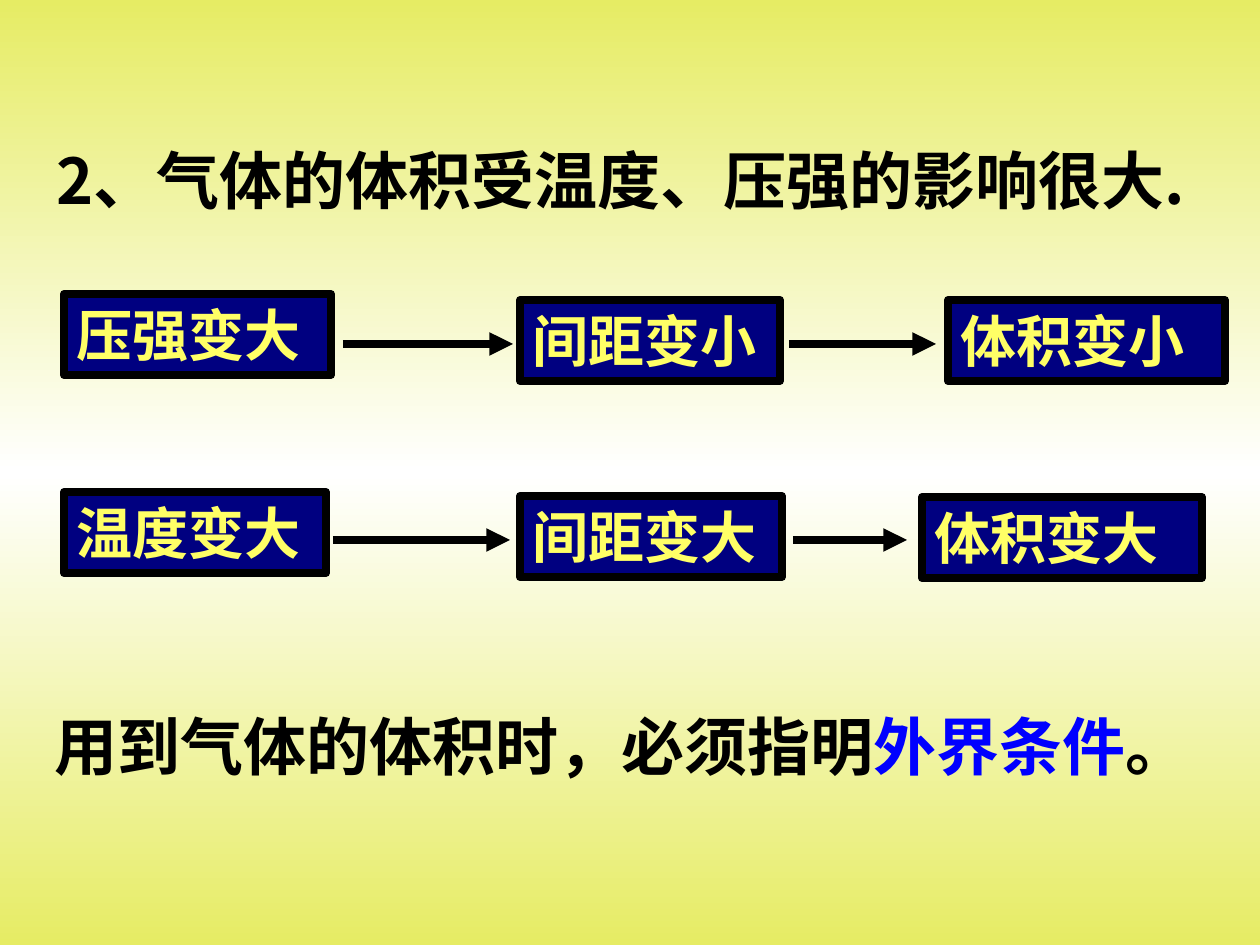
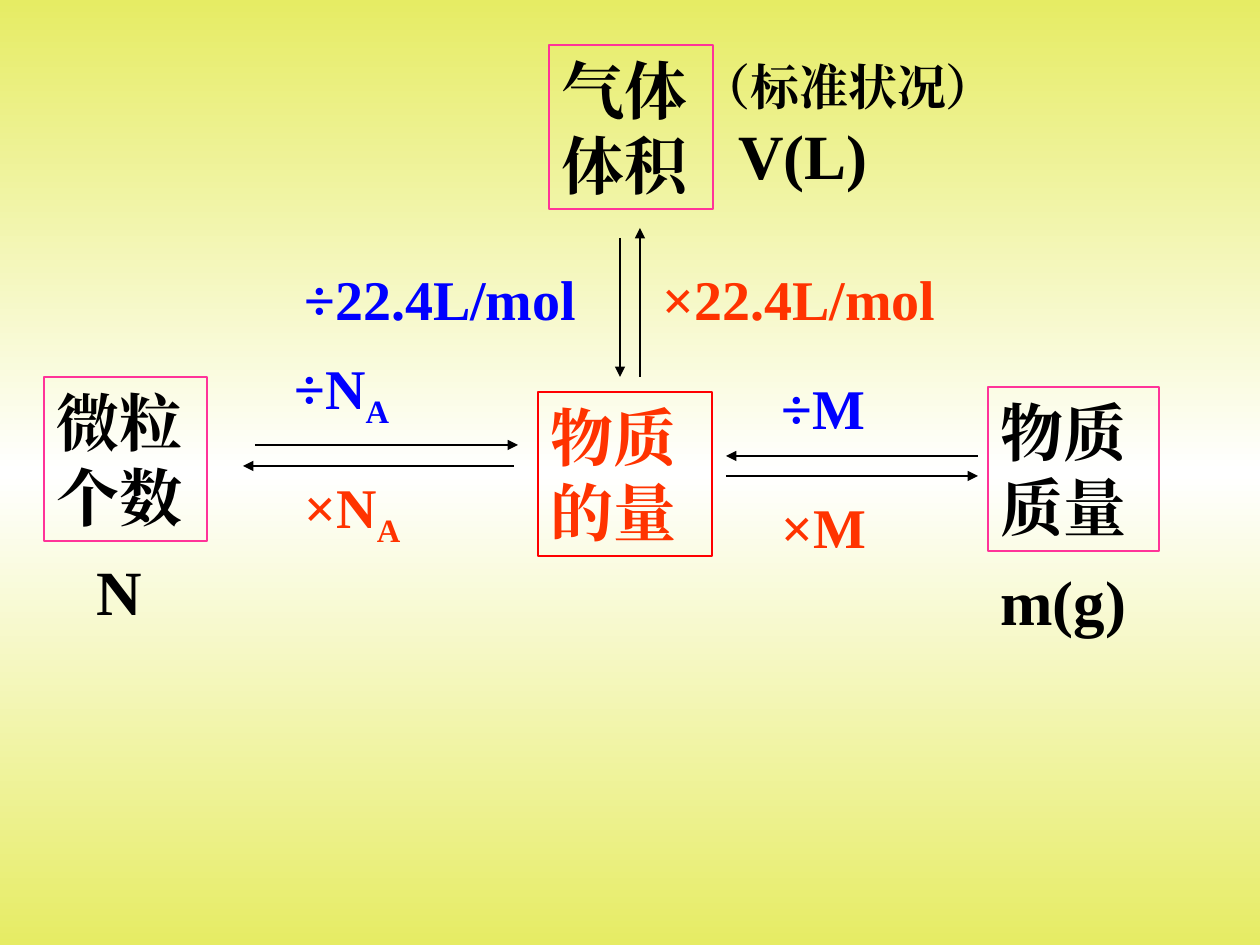
from dataclasses import dataclass

from lxml.etree import SubElement
from pptx import Presentation
from pptx.dml.color import RGBColor
from pptx.enum.shapes import MSO_CONNECTOR, MSO_SHAPE
from pptx.enum.text import MSO_ANCHOR, PP_ALIGN
from pptx.oxml.ns import qn
from pptx.slide import Slide
from pptx.text.text import _Run
from pptx.util import Emu, Pt

# Shared look
PIXELS_PER_INCH = 126
LINE_HEIGHT = 1.2
BLACK, BLUE, ORANGE = "000000", "0000FF", "FF3300"
NAVY, YELLOW, PINK, RED = "000080", "FFFF66", "FF3399", "FF0000"
BAND, WHITE = "E6EC64", "FFFFFF"
SERIF, SANS, CHINESE = "Times New Roman", "Roboto", "Noto Sans CJK SC"


@dataclass(frozen=True)
class Tail:
    """A run that follows the main text with its own colour or baseline."""
    text: str
    color: str
    subscript: bool = False


@dataclass(frozen=True)
class Label:
    left: int
    top: int
    width: int
    height: int
    text: str
    size: int = 36
    color: str = BLACK
    font: str = SERIF
    tails: tuple[Tail, ...] = ()
    wrap: bool = True
    fill: str | None = None
    border: str | None = None
    border_width: float = 0.75


@dataclass(frozen=True)
class Arrow:
    start_x: int
    start_y: int
    end_x: int
    end_y: int
    width: float = 0.75


def px(length: int) -> Emu:
    return Emu(round(length * 914400 / PIXELS_PER_INCH))


def rgb(color: str) -> RGBColor:
    return RGBColor.from_string(color)


def format_run(run: _Run, label: Label, color: str, subscript: bool = False) -> None:
    run.font.size = Pt(label.size)
    run.font.bold = True
    run.font.name = label.font
    run.font.color.rgb = rgb(color)
    properties = run.font._element
    SubElement(properties, qn("a:ea")).set("typeface", label.font)
    if subscript:
        properties.set("baseline", "-25000")


def draw_label(slide: Slide, label: Label) -> None:
    frame = px(label.left), px(label.top), px(label.width), px(label.height)
    if label.border:
        shape = slide.shapes.add_shape(MSO_SHAPE.RECTANGLE, *frame)
        shape.shadow.inherit = False
        shape.line.color.rgb = rgb(label.border)
        shape.line.width = Pt(label.border_width)
        if label.fill:
            shape.fill.solid()
            shape.fill.fore_color.rgb = rgb(label.fill)
        else:
            shape.fill.background()
    else:
        shape = slide.shapes.add_textbox(*frame)

    text_frame = shape.text_frame
    text_frame.word_wrap = label.wrap
    text_frame.vertical_anchor = MSO_ANCHOR.TOP
    text_frame.text = label.text
    for paragraph in text_frame.paragraphs:
        paragraph.alignment = PP_ALIGN.LEFT
        paragraph.line_spacing = Pt(label.size * LINE_HEIGHT)
        for run in paragraph.runs:
            format_run(run, label, label.color)
    for tail in label.tails:
        run = text_frame.paragraphs[-1].add_run()
        run.text = tail.text
        format_run(run, label, tail.color, tail.subscript)


def draw_arrow(slide: Slide, arrow: Arrow) -> None:
    connector = slide.shapes.add_connector(
        MSO_CONNECTOR.STRAIGHT, px(arrow.start_x), px(arrow.start_y),
        px(arrow.end_x), px(arrow.end_y))
    connector.line.color.rgb = rgb(BLACK)
    connector.line.width = Pt(arrow.width)
    SubElement(connector.line._get_or_add_ln(), qn("a:tailEnd")).set("type", "triangle")
    SubElement(connector._element.spPr, qn("a:effectLst"))


def paint_background(slide: Slide) -> None:
    fill = slide.background.fill
    fill.gradient()
    fill.gradient_angle = 270
    stops = slide.element.find(".//" + qn("a:gsLst"))
    for stop in list(stops):
        stops.remove(stop)
    for position, color in ((0, BAND), (50, WHITE), (100, BAND)):
        stop = SubElement(stops, qn("a:gs"))
        stop.set("pos", str(position * 1000))
        SubElement(stop, qn("a:srgbClr")).set("val", color)


def step_box(left: int, top: int, width: int, text: str) -> Label:
    return Label(left, top, width, 81, text, 32, YELLOW, SANS,
                 fill=NAVY, border=BLACK, border_width=4.5)


def quantity_box(left: int, top: int, width: int, text: str,
                 color: str = BLACK, border: str = PINK) -> Label:
    return Label(left, top, width, 164, text, color=color, border=border)


def factor(left: int, top: int, width: int, text: str, color: str,
           subscript: str = "") -> Label:
    tails = (Tail(subscript, color, True),) if subscript else ()
    return Label(left, top, width, 81, text, 32, color, tails=tails)


# Slide 1: effect of pressure and temperature
EFFECT_LABELS = (
    Label(44, 135, 1181, 164, "2、气体的体积受温度、压强的影响很大.", font=CHINESE),
    step_box(64, 294, 267, "压强变大"),
    step_box(520, 300, 260, "间距变小"),
    step_box(948, 300, 277, "体积变小"),
    step_box(64, 492, 262, "温度变大"),
    step_box(520, 496, 262, "间距变大"),
    step_box(922, 497, 280, "体积变大"),
    Label(42, 701, 1173, 88, "用到气体的体积时，必须指明", font=SANS,
          tails=(Tail("外界条件", BLUE), Tail("。", BLACK))),
)
EFFECT_ARROWS = tuple(
    Arrow(start, y, end, y, 4.5)
    for y, start, end in ((344, 343, 513), (344, 789, 936),
                          (540, 333, 510), (540, 793, 907)))

# Slide 2: conversions around the amount of substance
CONVERSION_LABELS = (
    quantity_box(988, 387, 171, "物质\n质量"),
    quantity_box(538, 392, 174, "物质\n的量", ORANGE, RED),
    quantity_box(44, 377, 163, "微粒\n个数"),
    quantity_box(549, 45, 164, "气体\n体积"),
    factor(769, 367, 145, "÷M", BLUE),
    factor(769, 486, 145, "×M", ORANGE),
    factor(282, 357, 159, "÷N", BLUE, "A"),
    factor(292, 476, 159, "×N", ORANGE, "A"),
    factor(292, 258, 328, "÷22.4L/mol", BLUE),
    factor(650, 258, 328, "×22.4L/mol", ORANGE),
    Label(988, 556, 151, 88, "m(g)", wrap=False),
    Label(84, 546, 69, 88, "N"),
    Label(689, 50, 328, 72, "（标准状况）", 28),
    Label(726, 110, 155, 88, "V(L)", wrap=False),
)
CONVERSION_ARROWS = (
    Arrow(255, 445, 518, 445),
    Arrow(514, 466, 243, 466),
    Arrow(978, 456, 726, 456),
    Arrow(726, 476, 978, 476),
    Arrow(620, 238, 620, 377),
    Arrow(640, 377, 640, 228),
)


def main() -> None:
    presentation = Presentation()
    presentation.slide_width, presentation.slide_height = px(1260), px(945)
    for labels, arrows in ((EFFECT_LABELS, EFFECT_ARROWS),
                           (CONVERSION_LABELS, CONVERSION_ARROWS)):
        slide = presentation.slides.add_slide(presentation.slide_layouts[6])
        paint_background(slide)
        for label in labels:
            draw_label(slide, label)
        for arrow in arrows:
            draw_arrow(slide, arrow)
    presentation.save("out.pptx")


if __name__ == "__main__":
    main()
